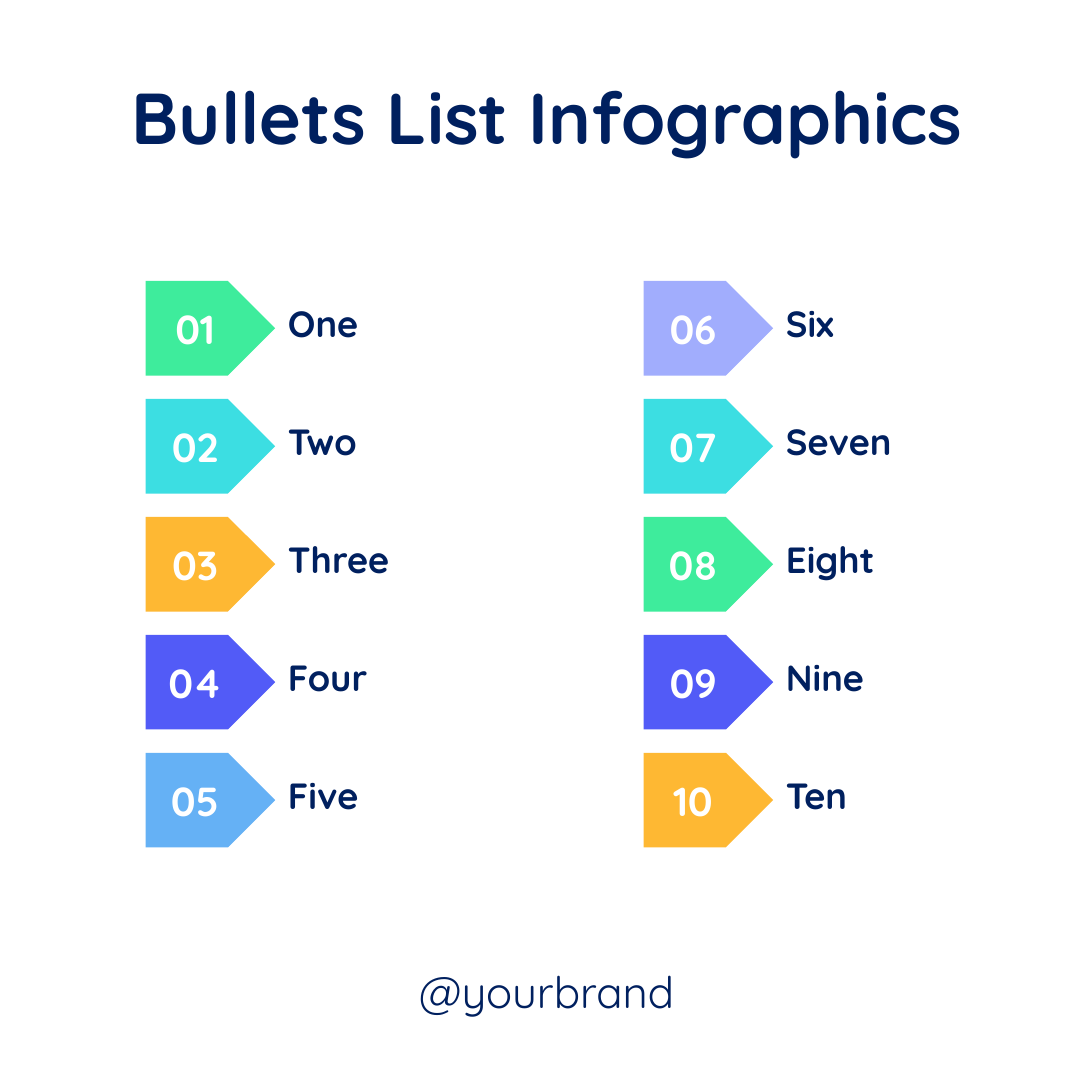
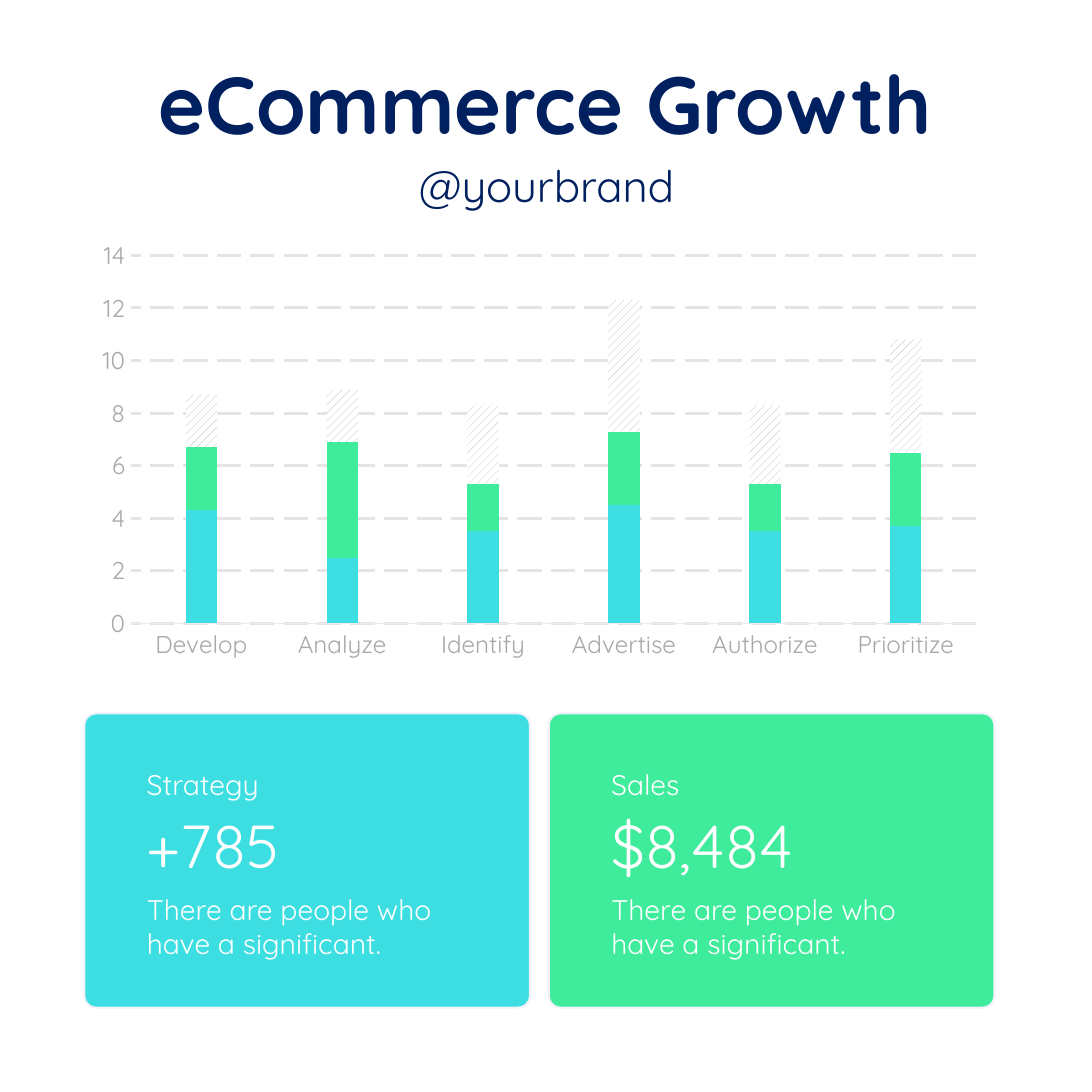
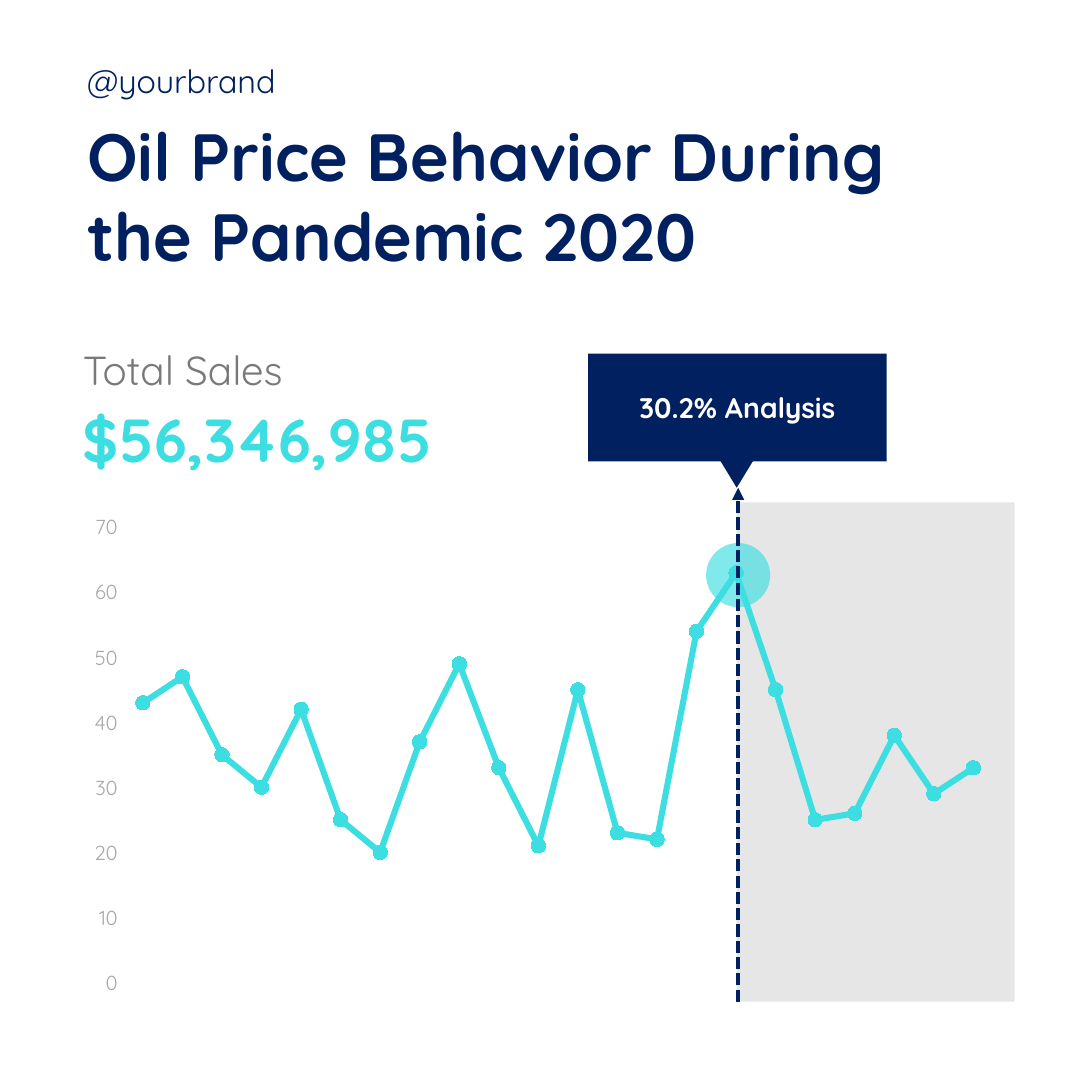
from lxml import etree
from pptx import Presentation
from pptx import util as u
from pptx.chart import data
from pptx.dml import color
from pptx.enum import chart as ch, dml, shapes, text
from pptx.oxml import ns

FONT = "Quicksand"
NAVY, WHITE, GREY, PALE = "00205F", "FFFFFF", "7A797A", "A9A8A9"
MINT, CYAN, AMBER, BLUE = "3EEC9C", "3CDEE2", "FEB833", "525BF7"
SKY, LILAC, SMOKE = "65B1F5", "A1ADFD", "E4E4E4"
BRAND = "@yourbrand"
KIND = shapes.MSO_SHAPE


def rgb(code):
    return color.RGBColor.from_string(code)


def style(font, size, tint, bold=False):
    font.name, font.size, font.bold = FONT, u.Pt(size), bold
    font.color.rgb = rgb(tint)


def write(box, words, size=14, tint=NAVY, bold=False, center=False, inset=None):
    frame = box.text_frame
    frame.word_wrap = True
    frame.auto_size = text.MSO_AUTO_SIZE.SHAPE_TO_FIT_TEXT
    if inset is not None:
        frame.vertical_anchor = text.MSO_ANCHOR.MIDDLE
        frame.margin_left = frame.margin_right = u.Inches(inset)
        frame.margin_top = frame.margin_bottom = u.Inches(inset)
    para = frame.paragraphs[0]
    para.alignment = text.PP_ALIGN.CENTER if center else text.PP_ALIGN.LEFT
    run = para.add_run()
    run.text = words
    style(run.font, size, tint, bold)


class Deck:
    def __init__(self):
        self.show = Presentation()
        self.show.slide_width = self.show.slide_height = u.Inches(7.5)

    def page(self):
        self.slide = self.show.slides.add_slide(self.show.slide_layouts[6])
        self.slide.background.fill.solid()
        self.slide.background.fill.fore_color.rgb = rgb(WHITE)
        self.items = self.slide.shapes

    def group(self):
        self.items = self.slide.shapes.add_group_shape().shapes

    def free(self):
        self.items = self.slide.shapes

    def text(self, words, *spot, **look):
        write(self.items.add_textbox(*map(u.Inches, spot)), words, **look)

    def title(self, words, *spot, size, center=True):
        self.text(words, *spot, size=size, bold=True, center=center)

    def brand(self, left, top, size=21.6, center=True):
        self.text(BRAND, left, top, 2.75, 0.46, size=size, center=center)

    def shape(self, kind, tint, *spot, edge=None, alpha=None, turn=0):
        item = self.items.add_shape(kind, *map(u.Inches, spot))
        item.shadow.inherit = False
        item.rotation = turn
        item.fill.solid()
        item.fill.fore_color.rgb = rgb(tint)
        if edge:
            item.line.color.rgb = rgb(edge)
            item.line.width = u.Pt(1)
        else:
            item.line.fill.background()
        if alpha:
            fill = item.element.spPr.find(ns.qn("a:solidFill"))
            etree.SubElement(fill[0], ns.qn("a:alpha"), val=str(alpha * 1000))
        return item

    def arrow(self, *ends):
        link = self.items.add_connector(
            shapes.MSO_CONNECTOR.STRAIGHT, *map(u.Inches, ends))
        link.line.color.rgb = rgb(NAVY)
        link.line.width = u.Pt(2)
        link.line.dash_style = dml.MSO_LINE.SQUARE_DOT
        props = link.element.spPr
        etree.SubElement(props.find(ns.qn("a:ln")), ns.qn("a:tailEnd"), type="triangle")
        etree.SubElement(props, ns.qn("a:effectLst"))

    def chart(self, kind, cats, rows, top, step, size, *spot):
        info = data.CategoryChartData()
        info.categories = cats
        for num, vals in enumerate(rows, 1):
            info.add_series(f"Series {num}", vals)
        chart = self.items.add_chart(kind, *map(u.Inches, spot), info).chart
        chart.has_legend = chart.has_title = False
        style(chart.font, size, GREY)
        for axis in (chart.category_axis, chart.value_axis):
            axis.major_tick_mark = axis.minor_tick_mark = ch.XL_TICK_MARK.NONE
            style(axis.tick_labels.font, size, PALE)
        axis = chart.value_axis
        axis.minimum_scale, axis.maximum_scale, axis.major_unit = 0, top, step
        axis.has_major_gridlines = False
        axis.format.line.fill.background()
        chart.plots[0].vary_by_categories = False
        return chart


def bullets(deck):
    deck.page()
    deck.brand(2.38, 6.58)
    deck.title("Bullets List Infographics", 0.56, 0.45, 6.4, 0.7, size=35.6)
    names = "One Two Three Four Five Six Seven Eight Nine Ten".split()
    tints = [MINT, CYAN, AMBER, BLUE, SKY, LILAC, CYAN, MINT, BLUE, AMBER]
    for num, (name, tint) in enumerate(zip(names, tints)):
        col, row = divmod(num, 5)
        left, top = 1 + 3.42 * col, 1.93 + 0.81 * row
        deck.shape(KIND.PENTAGON, tint, left, top, 0.89, 0.65)
        deck.text(f"{num + 1:02}", left - 0.05, top + 0.11, 0.78, 0.44,
                  size=20, tint=WHITE, bold=True, center=True)
        deck.text(name, left + 0.88, top + 0.09, 1.34, 0.4, size=18, bold=True)


def growth(deck):
    deck.page()
    cats = ["Develop", "Analyze", "Identify", "Advertise", "Authorize", "Prioritize"]
    rows = [[4.3, 2.5, 3.5, 4.5, 3.5, 3.7],
            [2.4, 4.4, 1.8, 2.8, 1.8, 2.8],
            [2, 2, 3, 5, 3, 4.3]]
    chart = deck.chart(ch.XL_CHART_TYPE.COLUMN_STACKED, cats, rows, 14, 2, 12,
                       0.58, 1.59, 6.25, 3)
    plot = chart.plots[0]
    plot.gap_width, plot.overlap = 350, 100
    chart.category_axis.format.line.color.rgb = rgb("EBEBEB")
    chart.category_axis.format.line.width = u.Pt(0.75)
    grid = chart.value_axis.major_gridlines.format.line
    grid.color.rgb = rgb(SMOKE)
    grid.width = u.Pt(1.5)
    grid.dash_style = dml.MSO_LINE.LONG_DASH
    for bars, tint in zip(plot.series, (CYAN, MINT, None)):
        bars.invert_if_negative = False
        fill = bars.format.fill
        if tint:
            fill.solid()
            fill.fore_color.rgb = rgb(tint)
        else:
            fill.patterned()
            fill.pattern = dml.MSO_PATTERN.WIDE_UPWARD_DIAGONAL
            fill.fore_color.rgb = rgb("BFBFBF")
            fill.back_color.rgb = rgb(WHITE)
    cards = [("Strategy", "+785", CYAN), ("Sales", "$8,484", MINT)]
    for num, (name, value, tint) in enumerate(cards):
        left = 0.58 + 3.19 * num
        card = deck.shape(KIND.ROUNDED_RECTANGLE, tint, left, 4.9, 3.06, 2.02,
                          edge="F0F1FA")
        card.adjustments[0] = 0.04
        left += 0.33
        deck.text(name, left, 5.22, 1.96, 0.34, tint=WHITE)
        deck.text(value, left, 5.5, 1.96, 0.61, size=30, tint=WHITE)
        deck.text("There are people who have a significant.",
                  left, 6.08, 2.49, 0.57, tint=WHITE)
    deck.title("eCommerce Growth", 0.52, 0.32, 6.45, 0.77, size=40)
    deck.brand(2.38, 1.04)


def prices(deck):
    deck.page()
    deck.shape(KIND.RECTANGLE, SMOKE, 5.06, 3.45, 1.91, 3.43, alpha=90)
    vals = [43, 47, 35, 30, 42, 25, 20, 37, 49, 33, 21,
            45, 23, 22, 54, 63, 45, 25, 26, 38, 29, 33]
    cats = [str(num) for num in range(1, len(vals) + 1)]
    chart = deck.chart(ch.XL_CHART_TYPE.LINE_MARKERS, cats, [vals], 70, 10, 10,
                       0.52, 3.47, 6.43, 3.43)
    chart.category_axis.visible = False
    curve = chart.plots[0].series[0]
    curve.smooth = False
    curve.format.line.color.rgb = rgb(CYAN)
    curve.format.line.width = u.Pt(3)
    dot = curve.marker
    dot.style, dot.size = ch.XL_MARKER_STYLE.CIRCLE, 7
    dot.format.fill.solid()
    dot.format.fill.fore_color.rgb = rgb(CYAN)
    dot.format.line.color.rgb = rgb(CYAN)
    deck.shape(KIND.OVAL, CYAN, 4.85, 3.73, 0.44, 0.44, alpha=65)
    deck.arrow(5.07, 6.88, 5.07, 3.35)
    deck.group()
    deck.shape(KIND.RECTANGLE, NAVY, 4.04, 2.43, 2.05, 0.74)
    deck.shape(KIND.ISOSCELES_TRIANGLE, NAVY, 4.89, 3.07, 0.34, 0.28, turn=180)
    deck.free()
    deck.text("30.2% Analysis", 4.22, 2.63, 1.69, 0.34,
              tint=WHITE, bold=True, center=True)
    deck.group()
    deck.text("Total Sales", 0.54, 2.34, 2.37, 0.39, size=20, tint=GREY, inset=0.03)
    deck.text("$56,346,985", 0.54, 2.73, 3.33, 0.56,
              size=30, tint=CYAN, bold=True, inset=0.03)
    deck.free()
    deck.title("Oil Price Behavior During the Pandemic 2020",
               0.5, 0.74, 6.45, 1.21, size=33, center=False)
    deck.brand(0.5, 0.37, size=16, center=False)


def main():
    deck = Deck()
    for build in (bullets, growth, prices):
        build(deck)
    deck.show.save("out.pptx")


if __name__ == "__main__":
    main()
